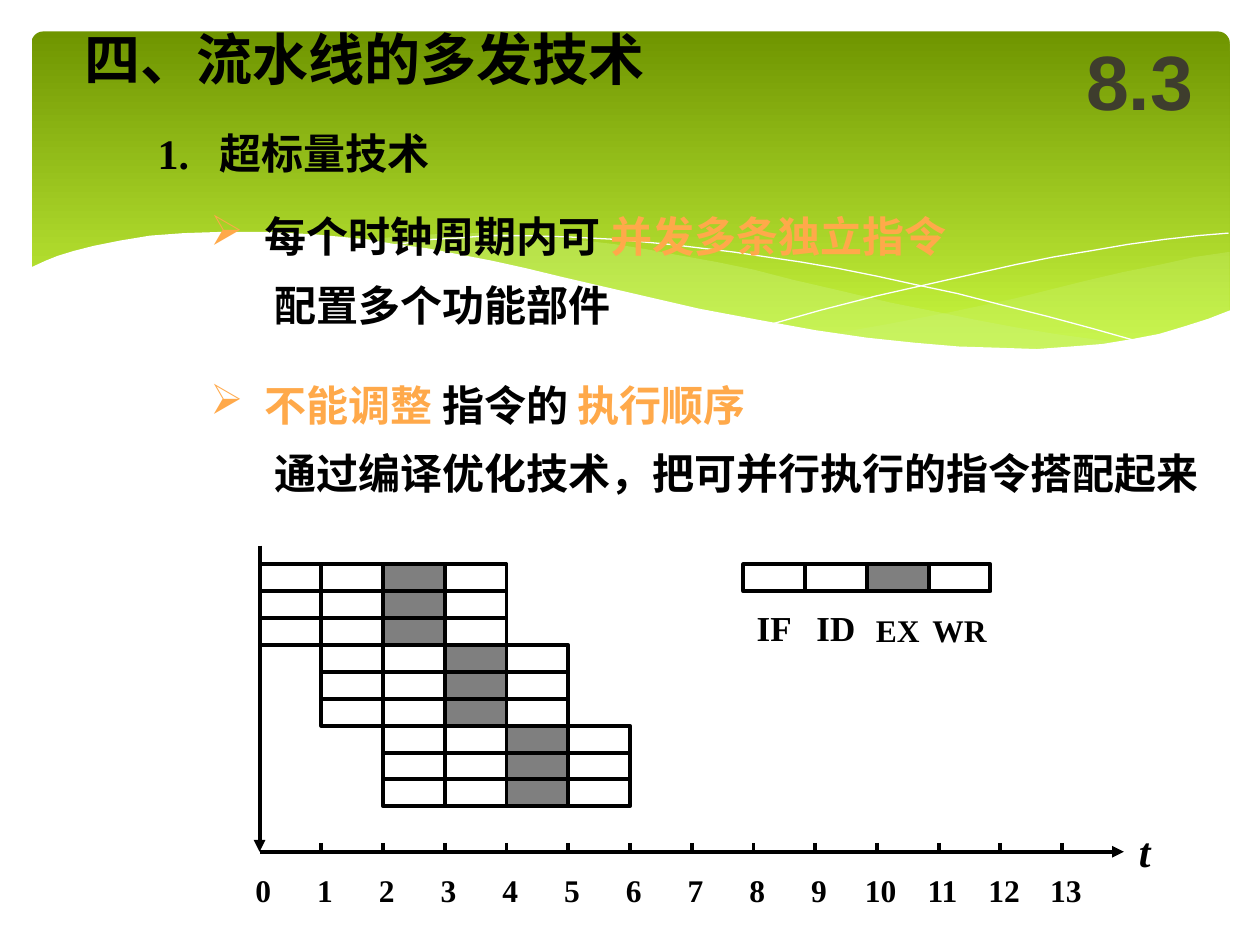
from lxml.etree import SubElement
from pptx import Presentation
from pptx.dml.color import RGBColor
from pptx.enum.shapes import MSO_CONNECTOR, MSO_SHAPE
from pptx.enum.text import MSO_ANCHOR, PP_ALIGN
from pptx.oxml.ns import qn
from pptx.util import Inches, Pt

HUES = {"ink": "000000", "paper": "FFFFFF", "mark": "FFA94A", "dark": "6F9500",
        "lime": "D0FF44", "mist": "CAF278", "slate": "3E3D2D"}

RIGHT = [(9.75, 2), (9.48, 2.04), (9.21, 2.1), (8.91, 2.16), (8.61, 2.23), (8.05, 2.37),
         (7.53, 2.48), (7.06, 2.57), (6.61, 2.65), (6.91, 2.69), (7.18, 2.73), (7.45, 2.75),
         (7.69, 2.77), (8.03, 2.78), (8.44, 2.77), (8.72, 2.74), (8.97, 2.7), (9.21, 2.65),
         (9.42, 2.59), (9.63, 2.52), (9.76, 2.47), (9.76, 2)]
SWELL = [(8.93, 2.73), (8.66, 2.69), (8.37, 2.65), (8.07, 2.6), (7.75, 2.54), (7.41, 2.47),
         (7.06, 2.4), (6.68, 2.31), (6.29, 2.22), (5.98, 2.14), (5.69, 2.08), (5.41, 2.03),
         (5.14, 1.98), (4.89, 1.94), (4.64, 1.91), (4.2, 1.87), (3.8, 1.85), (3.44, 1.86),
         (3.13, 1.88), (2.86, 1.91), (3.23, 1.96), (3.62, 2.03), (4.04, 2.11), (4.49, 2.22),
         (4.91, 2.32), (5.3, 2.4), (5.66, 2.48), (6.01, 2.55), (6.34, 2.61), (6.65, 2.66),
         (6.95, 2.7), (7.22, 2.74), (7.48, 2.76), (7.73, 2.78), (8.07, 2.79), (8.38, 2.78),
         (8.67, 2.76)]
FALL = [(3.09, 1.95), (3.28, 1.92), (3.43, 1.9), (3.63, 1.89), (3.87, 1.87), (4.16, 1.87),
        (4.5, 1.88), (4.89, 1.9), (5.32, 1.94), (5.82, 2), (6.36, 2.08), (6.65, 2.13),
        (6.95, 2.19), (7.27, 2.26), (7.6, 2.33), (7.95, 2.42), (8.31, 2.51), (8.68, 2.61),
        (9.07, 2.72)]
RISE = [(6.13, 2.57), (6.52, 2.46), (6.95, 2.35), (7.48, 2.23), (8.06, 2.1), (8.36, 2.04),
        (8.66, 1.99), (8.95, 1.94), (9.24, 1.9), (9.51, 1.87), (9.75, 1.85)]
FRONT = [(9.77, 2.46), (9.59, 2.53), (9.4, 2.59), (9.2, 2.65), (8.99, 2.69), (8.75, 2.73),
         (8.5, 2.75), (8.23, 2.77), (7.93, 2.76), (7.61, 2.75), (7.26, 2.72), (6.88, 2.68),
         (6.47, 2.62), (6.03, 2.54), (5.55, 2.45), (5.03, 2.33), (4.47, 2.2), (4.18, 2.13),
         (3.91, 2.07), (3.65, 2.02), (3.39, 1.97), (3.15, 1.94), (2.92, 1.9), (2.71, 1.88),
         (2.5, 1.86), (2.3, 1.85), (2.11, 1.84), (1.76, 1.84), (1.46, 1.85), (1.19, 1.87),
         (0.95, 1.91), (0.75, 1.95), (0.59, 1.99), (0.46, 2.03), (0.36, 2.07), (0.23, 2.13),
         (0.23, 3.29), (9.77, 3.29)]


def hue(name):
    return RGBColor.from_string(HUES[name])


class Deck:
    """Hold the style and the current slide, and draw each kind of element."""

    def __init__(self):
        self.show = Presentation()
        self.show.slide_width, self.show.slide_height = Inches(10), Inches(7.5)
        self.slide = self.show.slides.add_slide(self.show.slide_layouts[6])
        self.items = self.slide.shapes
        self.face = "Times New Roman"
        self.weight = Pt(2.25)

    def paint(self, shape, fill=None, alpha=100, line=None, width=0):
        shape.shadow.inherit = False
        if fill:
            shape.fill.solid()
            shape.fill.fore_color.rgb = hue(fill)
            if alpha < 100:
                tint = shape.fill._xPr.find(".//" + qn("a:srgbClr"))
                SubElement(tint, qn("a:alpha"), val=str(alpha * 1000))
        else:
            shape.fill.background()
        if line:
            shape.line.color.rgb = hue(line)
            shape.line.width = width
        else:
            shape.line.fill.background()

    def panel(self, x, y, w, h):
        shape = self.items.add_shape(MSO_SHAPE.ROUNDED_RECTANGLE, Inches(x), Inches(y),
                                     Inches(w), Inches(h))
        self.paint(shape)
        shape.adjustments[0] = 0.034
        shape.fill.gradient()
        shape.fill.gradient_angle = 270
        for stop, name in zip(shape.fill.gradient_stops, ("dark", "lime")):
            stop.color.rgb = hue(name)

    def wave(self, dots, close=True, **style):
        ends = [(Inches(x), Inches(y)) for x, y in dots]
        pen = self.items.build_freeform(*ends[0], scale=1.0)
        pen.add_line_segments(ends[1:], close=close)
        self.paint(pen.convert_to_shape(), **style)

    def strip(self, x, y, w, h):
        for col in range(4):
            cell = self.items.add_shape(MSO_SHAPE.RECTANGLE, Inches(x + col * w), Inches(y),
                                        Inches(w), Inches(h))
            self.paint(cell, "ink" if col == 2 else None, 50, "ink", self.weight)

    def line(self, x, y, right, low, arrow=False):
        link = self.items.add_connector(MSO_CONNECTOR.STRAIGHT, Inches(x), Inches(y),
                                        Inches(right), Inches(low))
        link.line.color.rgb = hue("ink")
        link.line.width = self.weight
        if arrow:
            SubElement(link.line._get_or_add_ln(), qn("a:tailEnd"), type="triangle")
        SubElement(link._element.spPr, qn("a:effectLst"))

    def text(self, x, y, w, h, runs, size, pad=0, anchor=MSO_ANCHOR.MIDDLE,
             align=PP_ALIGN.LEFT, face=None, slant=False, tab=None, bullet=None):
        frame = self.items.add_textbox(Inches(x), Inches(y), Inches(w), Inches(h)).text_frame
        frame.word_wrap = True
        frame.vertical_anchor = anchor
        frame.margin_left = frame.margin_right = Inches(pad)
        para = frame.paragraphs[0]
        para.alignment = align
        props = para._p.get_or_add_pPr()
        if bullet:
            props.set("marL", str(Inches(0.43)))
            props.set("indent", str(-Inches(0.43)))
            SubElement(SubElement(props, qn("a:buClr")), qn("a:srgbClr"), val=HUES["mark"])
            SubElement(props, qn("a:buChar"), char=bullet)
        if tab:
            stops = SubElement(props, qn("a:tabLst"))
            SubElement(stops, qn("a:tab"), pos=str(Inches(tab)), algn="l")
        for words, name in runs:
            run = para.add_run()
            run.text = words
            font = run.font
            font.name, font.size, font.bold = face or self.face, Pt(size), True
            font.italic = slant
            font.color.rgb = hue(name)

    def label(self, mid, y, words, size):
        self.text(mid - 0.3, y, 0.6, 0.4, [(words, "ink")], size,
                  anchor=MSO_ANCHOR.BOTTOM, align=PP_ALIGN.CENTER)

    def save(self):
        self.show.save("out.pptx")


def main():
    deck = Deck()
    deck.panel(0.25, 0.25, 9.51, 2.7)
    deck.wave(RIGHT, fill="mist", alpha=29)
    deck.wave(SWELL, fill="mist", alpha=40)
    for curve in (FALL, RISE):
        deck.wave(curve, close=False, line="paper")
    deck.wave(FRONT, fill="paper")

    deck.text(0.67, 0.17, 5.9, 0.58, [("四、流水线的多发技术", "ink")], 32)
    deck.text(1.25, 0.92, 2.58, 0.58, [("1.\t超标量技术", "ink")], 24, tab=0.49)
    deck.text(1.67, 1.58, 6.58, 0.58,
              [("每个时钟周期内可 ", "ink"), ("并发多条独立指令", "mark")], 24, bullet="➢")
    deck.text(1.67, 2.92, 4.92, 0.58,
              [("不能调整 ", "mark"), ("指令的 ", "ink"), ("执行顺序", "mark")], 24, bullet="➢")
    deck.text(2.08, 2.17, 6, 0.5, [("配置多个功能部件", "ink")], 24, pad=0.1)
    deck.text(2.08, 3.5, 7.9, 0.5,
              [("通过编译优化技术，把可并行执行的指令搭配起来", "ink")], 24, pad=0.1)

    left, top, step, base = 2.06, 4.48, 0.49, 6.76
    high = 0.64 / 3
    for row in range(9):
        deck.strip(left + row // 3 * step, top + row * high, step, high)
    key = 5.9
    deck.strip(key, top, step, high)
    for col, (name, size) in enumerate((("IF", 20), ("ID", 20), ("EX", 18), ("WR", 18))):
        deck.label(key + (col + 0.5) * step, 4.8, name, size)

    deck.line(left, 4.33, left, base, arrow=True)
    deck.line(left, base, 8.92, base, arrow=True)
    for tick in range(14):
        x = left + tick * step
        if tick:
            deck.line(x, 6.69, x, base)
        deck.label(x + 0.03, 6.86, str(tick), 18)
    deck.text(8.94, 6.5, 0.35, 0.5, [("t", "ink")], 24, pad=0.1, slant=True)
    deck.text(8.42, 0.17, 1.25, 0.92, [("8.3", "slate")], 44, pad=0.1,
              align=PP_ALIGN.CENTER, face="Arial")
    deck.save()


if __name__ == "__main__":
    main()
